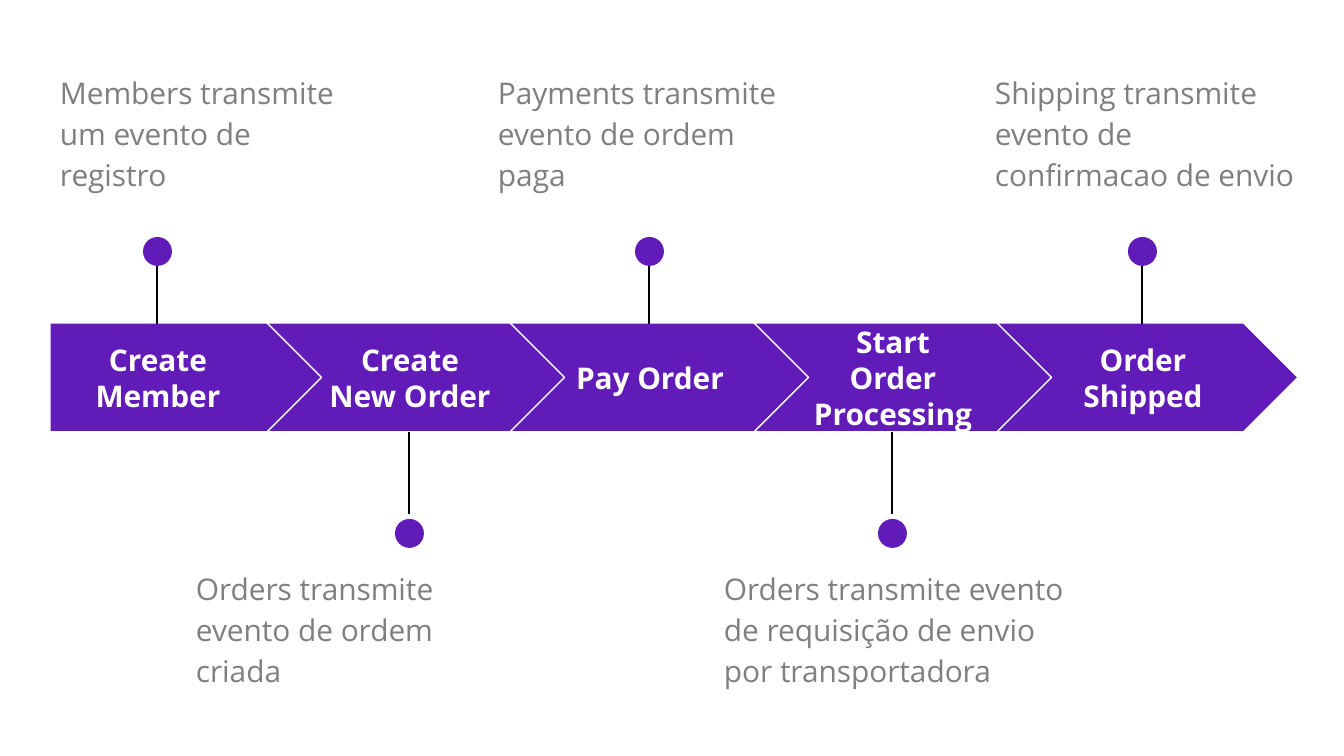
from dataclasses import dataclass

from lxml.etree import SubElement
from pptx import Presentation
from pptx.dml.color import RGBColor
from pptx.enum.shapes import MSO_CONNECTOR, MSO_SHAPE
from pptx.enum.text import MSO_ANCHOR, PP_ALIGN
from pptx.oxml.ns import qn
from pptx.util import Emu, Pt

SCALE = 914400 / 134.4


@dataclass(frozen=True)
class Theme:
    font: str = "Open Sans"
    size: int = 16
    purple: RGBColor = RGBColor(0x61, 0x1B, 0xB8)
    white: RGBColor = RGBColor(0xFF, 0xFF, 0xFF)
    grey: RGBColor = RGBColor(0x7F, 0x7F, 0x7F)
    black: RGBColor = RGBColor(0, 0, 0)
    hairline: float = 0.75


@dataclass(frozen=True)
class Step:
    name: str
    event: str
    center: int
    label_width: int
    event_left: int
    event_width: int


THEME = Theme()
STEPS = [
    Step("Create Member", "Members transmite um evento de registro", 157, 214, 47, 329),
    Step("Create New Order", "Orders transmite evento de ordem criada", 409, 192, 183, 329),
    Step("Pay Order", "Payments transmite evento de ordem paga", 649, 192, 485, 329),
    Step("Start Order Processing",
         "Orders transmite evento de requisição de envio por transportadora",
         892, 192, 711, 387),
    Step("Order Shipped", "Shipping transmite evento de confirmacao de envio",
         1142, 192, 982, 329),
]
INSET = 13
DOT = 29
STEM = 82


def px(*lengths):
    return [Emu(round(length * SCALE)) for length in lengths]


def add_solid(shapes, preset, box, outline=None):
    solid = shapes.add_shape(preset, *px(*box))
    solid.shadow.inherit = False
    solid.fill.solid()
    solid.fill.fore_color.rgb = THEME.purple
    if outline is None:
        solid.line.fill.background()
    else:
        solid.line.color.rgb = outline
        solid.line.width = Pt(THEME.hairline)
    return solid


def add_text(shapes, box, wording, color):
    frame = shapes.add_textbox(*px(*box)).text_frame
    frame.word_wrap = True
    inset, = px(INSET)
    frame.margin_left = frame.margin_right = inset
    frame.margin_top = frame.margin_bottom = inset
    paragraph = frame.paragraphs[0]
    paragraph.text = wording
    paragraph.font.name = THEME.font
    paragraph.font.size = Pt(THEME.size)
    paragraph.font.color.rgb = color
    return frame, paragraph


def add_arrow(shapes, box, step, first):
    left, top, width, height = box
    preset = MSO_SHAPE.PENTAGON if first else MSO_SHAPE.CHEVRON
    arrow = add_solid(shapes, preset, box, THEME.white)
    arrow.adjustments[0] = 0.5
    label_box = (step.center - step.label_width // 2 + 1, top + 20,
                 step.label_width, height - 40)
    frame, paragraph = add_text(shapes, label_box, step.name, THEME.white)
    frame.vertical_anchor = MSO_ANCHOR.MIDDLE
    paragraph.alignment = PP_ALIGN.CENTER
    paragraph.font.bold = True


def add_marker(shapes, center, stem_top, dot_top):
    marker = shapes.add_group_shape().shapes
    stem = marker.add_connector(
        MSO_CONNECTOR.STRAIGHT, *px(center, stem_top, center, stem_top + STEM))
    stem.line.color.rgb = THEME.black
    stem.line.width = Pt(THEME.hairline)
    SubElement(stem._element.spPr, qn("a:effectLst"))
    add_solid(marker, MSO_SHAPE.OVAL, (center - DOT // 2, dot_top, DOT, DOT))


def add_event(shapes, box, wording):
    paragraph = add_text(shapes, box, wording, THEME.grey)[1]
    paragraph.line_spacing = 1.15


def add_process(shapes, box):
    left, top, width, height = box
    for index, step in enumerate(STEPS):
        if index == 0:
            arrow_box = (left, top, 275, height)
        else:
            arrow_box = (left + 217 + 487 * (index - 1) // 2, top, 301, height)
        add_arrow(shapes, arrow_box, step, index == 0)
        if index % 2 == 0:
            stem_top, dot_top, event_top = top - 81, top - 86, top - 267
        else:
            stem_top, dot_top, event_top = top + height, top + 196, top + 229
        add_marker(shapes, step.center, stem_top, dot_top)
        add_event(shapes, (step.event_left, event_top, step.event_width, 133), step.event)


deck = Presentation()
deck.slide_width, deck.slide_height = px(1344, 756)
slide = deck.slides.add_slide(deck.slide_layouts[6])
add_process(slide.shapes, (50, 323, 1248, 109))
deck.save("out.pptx")
